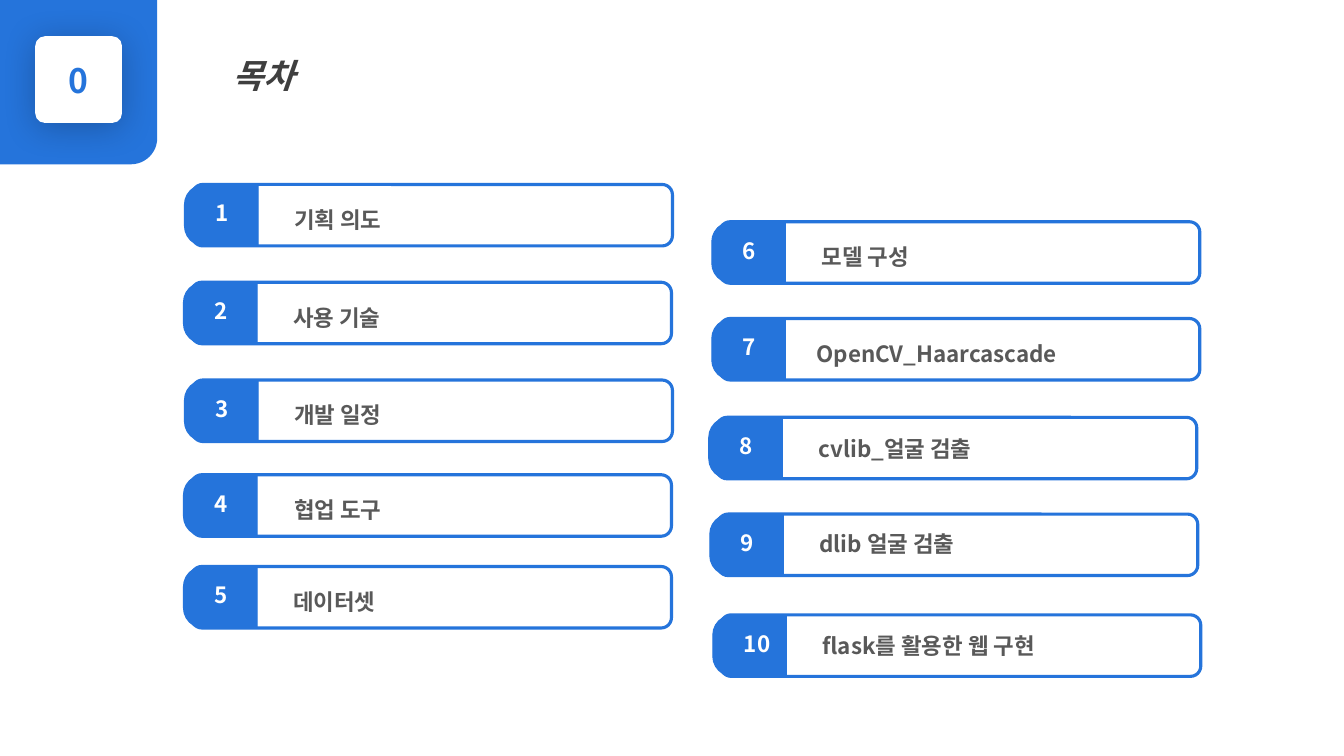
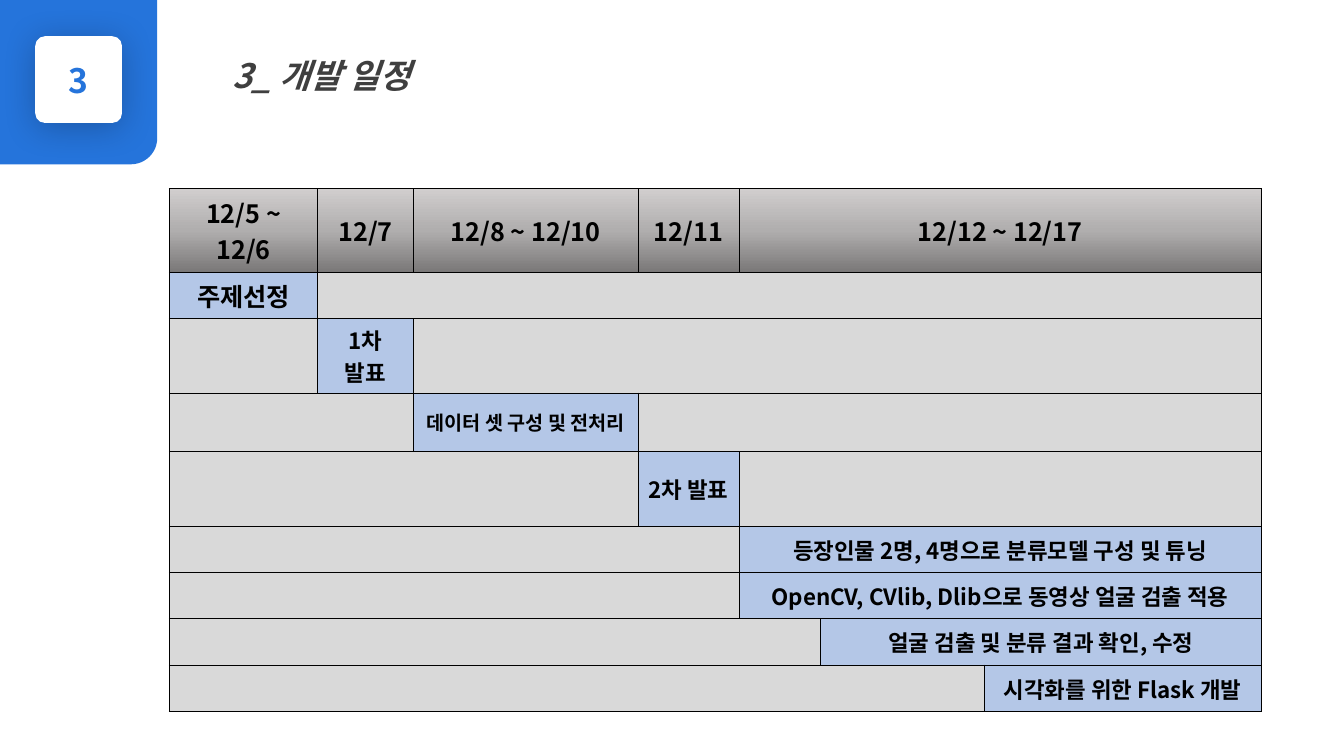
from dataclasses import dataclass

from lxml import etree
from pptx import Presentation
from pptx.dml.color import RGBColor
from pptx.enum.shapes import MSO_SHAPE
from pptx.enum.text import MSO_ANCHOR, PP_ALIGN
from pptx.oxml import parse_xml
from pptx.oxml.ns import nsdecls, qn
from pptx.util import Inches, Pt

# Shared look
FONT = "Noto Sans CJK KR"
BLUE = RGBColor(0x25, 0x74, 0xDB)
WHITE = RGBColor(0xFF, 0xFF, 0xFF)
TITLE_GRAY = RGBColor(0x3F, 0x3F, 0x3F)
LABEL_GRAY = RGBColor(0x59, 0x59, 0x59)
BLACK = RGBColor(0, 0, 0)
CELL_GRAY = RGBColor(0xD9, 0xD9, 0xD9)
CELL_BLUE = RGBColor(0xB4, 0xC7, 0xE7)
HEADER_STOPS = ((0, "7A7878"), (50, "B0AEAE"), (100, "D1CECE"))

TITLE_FMT = {"size": Pt(24), "bold": True, "italic": True}
BADGE_FMT = {"size": Pt(24), "bold": True}
ITEM_FMT = {"size": Pt(16), "bold": True}


@dataclass
class Item:
    number: str
    text: str
    left: float
    top: float
    label_dx: float = 0.91
    label_dy: float = 0.03
    number_width: float = 0.43


@dataclass
class Task:
    text: str
    first: int
    last: int
    height: float
    size: int = 16


ITEMS = [
    Item("1", "기획 의도", 1.91, 1.83),
    Item("2", "사용 기술", 1.9, 2.8),
    Item("3", "개발 일정", 1.91, 3.77),
    Item("4", "협업 도구", 1.9, 4.71, label_dx=0.92),
    Item("5", "데이터셋", 1.9, 5.62),
    Item("6", "모델 구성", 7.14, 2.2),
    Item("7", "OpenCV_Haarcascade", 7.14, 3.16, label_dx=0.86),
    Item("8", "cvlib_얼굴 검출", 7.11, 4.14, label_dy=-0.01),
    Item("9", "dlib 얼굴 검출", 7.12, 5.1, label_dy=-0.02),
    Item("10", "flask를 활용한 웹 구현", 7.15, 6.1, label_dy=-0.01, number_width=0.51),
]

COL_WIDTHS = (1.47, 0.95, 2.23, 1, 0.81, 1.62, 2.75)
HEADER_HEIGHT = 0.83
DATES = ("12/5 ~ 12/6", "12/7", "12/8 ~ 12/10", "12/11", "12/12 ~ 12/17")
TASKS = [
    Task("주제선정", 0, 0, 0.46, 18),
    Task("1차 발표", 1, 1, 0.74),
    Task("데이터 셋 구성 및 전처리", 2, 2, 0.58, 14),
    Task("2차 발표", 3, 3, 0.74),
    Task("등장인물 2명, 4명으로 분류모델 구성 및 튜닝", 4, 6, 0.46),
    Task("OpenCV, CVlib, Dlib으로 동영상 얼굴 검출 적용", 4, 6, 0.46),
    Task("얼굴 검출 및 분류 결과 확인, 수정", 5, 6, 0.46),
    Task("시각화를 위한 Flask 개발", 6, 6, 0.46),
]


def write(tf, text: str, color: RGBColor, fmt: dict, align=PP_ALIGN.LEFT, spacing=None):
    p = tf.paragraphs[0]
    p.alignment = align
    if spacing:
        p.line_spacing = spacing
    r = p.add_run()
    r.text = text
    for name, value in {"name": FONT, **fmt}.items():
        setattr(r.font, name, value)
    r.font.color.rgb = color
    etree.SubElement(r._r.get_or_add_rPr(), qn("a:ea")).set("typeface", FONT)


def add_text(shapes, left, top, width, height, text, color, fmt, spacing=None):
    tf = shapes.add_textbox(Inches(left), Inches(top), Inches(width), Inches(height)).text_frame
    tf.word_wrap = True
    write(tf, text, color, fmt, spacing=spacing)


def add_box(shapes, kind, left, top, width, height, adj, fill, line_width=0.0):
    sp = shapes.add_shape(kind, Inches(left), Inches(top), Inches(width), Inches(height))
    sp.shadow.inherit = False
    for i, value in enumerate(adj):
        sp.adjustments[i] = value
    sp.fill.solid()
    sp.fill.fore_color.rgb = fill
    if line_width:
        sp.line.color.rgb = BLUE
        sp.line.width = Pt(line_width)
    else:
        sp.line.fill.background()
    return sp


def add_heading(s, number: str, title: str):
    add_text(s.shapes, 2.21, 0.3, 9.62, 0.88, title, TITLE_GRAY, TITLE_FMT, 1.5)
    # Corner block, rounded at the bottom right
    corner = add_box(s.shapes, MSO_SHAPE.ROUND_1_RECTANGLE, 0, 0, 1.56, 1.63, [0.167], BLUE)
    corner.rotation = 180
    corner.element.spPr.find(qn("a:xfrm")).set("flipH", "1")
    # Number badge with a soft shadow
    badge = add_box(s.shapes, MSO_SHAPE.ROUNDED_RECTANGLE, 0.35, 0.36, 0.86, 0.86, [0.11], WHITE)
    badge.element.spPr.find(qn("a:effectLst")).append(parse_xml(
        f'<a:outerShdw {nsdecls("a")} blurRad="{Pt(25)}" dist="{Pt(3)}" dir="5400000" '
        'algn="t" rotWithShape="0"><a:srgbClr val="000000"><a:alpha val="23000"/>'
        '</a:srgbClr></a:outerShdw>'))
    badge.text_frame.vertical_anchor = MSO_ANCHOR.MIDDLE
    write(badge.text_frame, number, BLUE, BADGE_FMT, PP_ALIGN.CENTER)


def add_item(s, item: Item):
    shapes = s.shapes.add_group_shape().shapes
    x, y = item.left, item.top
    add_box(shapes, MSO_SHAPE.ROUNDED_RECTANGLE, x, y, 4.76, 0.61, [0.167], WHITE, 2.25)
    tab = add_box(shapes, MSO_SHAPE.ROUND_2_SAME_RECTANGLE,
                  x - 0.02, y - 0.06, 0.61, 0.73, [0.328, 0], BLUE, 0.75)
    tab.rotation = 270
    add_text(shapes, x + item.label_dx, y + item.label_dy, 3.58, 0.45,
             item.text, LABEL_GRAY, ITEM_FMT, 1.5)
    add_text(shapes, x + 0.13, y + 0.1, item.number_width, 0.37, item.number, WHITE, ITEM_FMT)


def style_cell(cell, fill=None):
    """Black borders, then a plain fill or the header gradient."""
    tc_pr = cell._tc.get_or_add_tcPr()
    for side in ("lnL", "lnR", "lnT", "lnB"):
        tc_pr.append(parse_xml(
            f'<a:{side} {nsdecls("a")} w="{Pt(0.75)}"><a:solidFill>'
            f'<a:srgbClr val="{BLACK}"/></a:solidFill></a:{side}>'))
    if fill is None:
        stops = "".join(f'<a:gs pos="{pos * 1000}"><a:srgbClr val="{color}"/></a:gs>'
                        for pos, color in HEADER_STOPS)
        tc_pr.append(parse_xml(
            f'<a:gradFill {nsdecls("a")} rotWithShape="1"><a:gsLst>{stops}</a:gsLst>'
            '<a:lin ang="16200000" scaled="0"/></a:gradFill>'))
    else:
        cell.fill.solid()
        cell.fill.fore_color.rgb = fill


def write_cell(cell, text: str, size: int):
    cell.vertical_anchor = MSO_ANCHOR.MIDDLE
    write(cell.text_frame, text, BLACK, {"size": Pt(size), "bold": True}, PP_ALIGN.CENTER)


def merge_columns(table, row: int, first: int, last: int):
    if first < last:
        table.cell(row, first).merge(table.cell(row, last))


def add_schedule(s):
    heights = [HEADER_HEIGHT] + [task.height for task in TASKS]
    table = s.shapes.add_table(len(heights), len(COL_WIDTHS), Inches(1.68), Inches(1.87),
                               Inches(sum(COL_WIDTHS)), Inches(sum(heights))).table
    table.first_row = table.horz_banding = False
    for column, width in zip(table.columns, COL_WIDTHS):
        column.width = Inches(width)
    for row, height in zip(table.rows, heights):
        row.height = Inches(height)

    # Header dates
    end = len(COL_WIDTHS) - 1
    for col in range(end + 1):
        style_cell(table.cell(0, col))
    merge_columns(table, 0, len(DATES) - 1, end)
    for col, date in enumerate(DATES):
        write_cell(table.cell(0, col), date, 18)

    # One task bar per row, gray on both sides
    for row, task in enumerate(TASKS, start=1):
        for col in range(end + 1):
            active = task.first <= col <= task.last
            style_cell(table.cell(row, col), CELL_BLUE if active else CELL_GRAY)
        for first, last in ((0, task.first - 1), (task.first, task.last), (task.last + 1, end)):
            merge_columns(table, row, first, last)
        write_cell(table.cell(row, task.first), task.text, task.size)


def main():
    prs = Presentation()
    prs.slide_width, prs.slide_height = Inches(13.33), Inches(7.5)
    blank = prs.slide_layouts[6]

    # Contents
    s = prs.slides.add_slide(blank)
    add_heading(s, "0", "목차")
    for item in ITEMS:
        add_item(s, item)

    # Schedule
    s = prs.slides.add_slide(blank)
    add_heading(s, "3", "3_ 개발 일정")
    add_schedule(s)

    prs.save("out.pptx")


if __name__ == "__main__":
    main()
